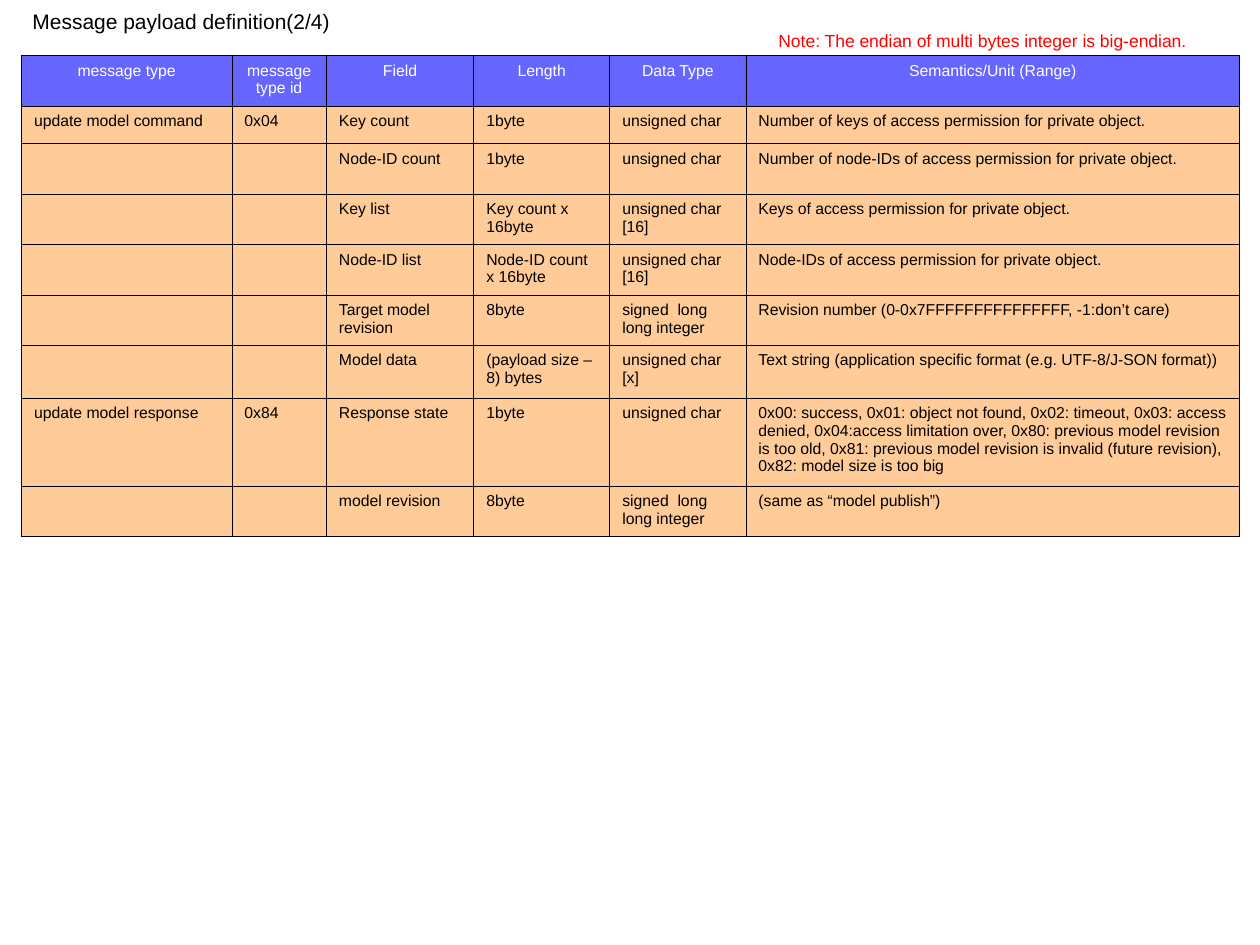
from lxml.etree import SubElement
from pptx import Presentation
from pptx.dml.color import RGBColor
from pptx.enum.text import MSO_AUTO_SIZE, PP_ALIGN
from pptx.oxml.ns import qn
from pptx.util import Inches, Pt

HEADER = ["message type", "message type id", "Field", "Length", "Data Type",
          "Semantics/Unit (Range)"]
FIELDS = [
    ["update model command", "0x04", "Key count", "1byte", "unsigned char",
     "Number of keys of access permission for private object."],
    ["", "", "Node-ID count", "1byte", "unsigned char",
     "Number of node-IDs of access permission for private object."],
    ["", "", "Key list", "Key count x 16byte", "unsigned char [16]",
     "Keys of access permission for private object."],
    ["", "", "Node-ID list", "Node-ID count x 16byte", "unsigned char [16]",
     "Node-IDs of access permission for private object."],
    ["", "", "Target model revision", "8byte", "signed  long long integer",
     "Revision number (0-0x7FFFFFFFFFFFFFFF, -1:don’t care)"],
    ["", "", "Model data", "(payload size – 8) bytes", "unsigned char [x]",
     "Text string (application specific format (e.g. UTF-8/J-SON format))"],
    ["update model response", "0x84", "Response state", "1byte", "unsigned char",
     "0x00: success, 0x01: object not found, 0x02: timeout, 0x03: access denied, "
     "0x04:access limitation over, 0x80: previous model revision is too old, "
     "0x81: previous model revision is invalid (future revision), "
     "0x82: model size is too big"],
    ["", "", "model revision", "8byte", "signed  long long integer",
     "(same as “model publish”)"],
]
COL_WIDTHS = [1.67, 0.75, 1.17, 1.08, 1.08, 3.92]
ROW_HEIGHTS = [0.4, 0.3, 0.4, 0.4, 0.4, 0.4, 0.42, 0.7, 0.4]


def rgb(color):
    return RGBColor.from_string(color)


def set_font(p, size, color):
    p.font.name = "Arial"
    p.font.size = Pt(size)
    p.font.color.rgb = rgb(color)


prs = Presentation()
prs.slide_width, prs.slide_height = Inches(10), Inches(7.5)
s = prs.slides.add_slide(prs.slide_layouts[6])

# Message field table
rows = [HEADER] + FIELDS
table = s.shapes.add_table(len(rows), len(HEADER), Inches(0.17), Inches(0.44),
                           Inches(sum(COL_WIDTHS)), Inches(sum(ROW_HEIGHTS))).table
table.first_row = table.horz_banding = False
for column, width in zip(table.columns, COL_WIDTHS):
    column.width = Inches(width)
for row, height in zip(table.rows, ROW_HEIGHTS):
    row.height = Inches(height)

for i, texts in enumerate(rows):
    for j, text in enumerate(texts):
        cell = table.cell(i, j)
        tcPr = cell._tc.get_or_add_tcPr()
        for side in ("lnL", "lnR", "lnT", "lnB"):
            ln = SubElement(tcPr, qn(f"a:{side}"), w=str(int(Pt(0.34))))
            SubElement(SubElement(ln, qn("a:solidFill")), qn("a:srgbClr"), val="000000")
        cell.fill.solid()
        cell.fill.fore_color.rgb = rgb("6666FF" if i == 0 else "FFCC99")
        cell.text = text
        p = cell.text_frame.paragraphs[0]
        p.space_before = Pt(2.2)
        p.alignment = PP_ALIGN.CENTER if i == 0 else PP_ALIGN.LEFT
        set_font(p, 9, "FFFFFF" if i == 0 else "000000")

# Title and note
for text, left, top, width, height, size, color in [
    ("Message payload definition(2/4)", 0.16, 0.02, 2.56, 0.3, 12, "000000"),
    ("Note: The endian of multi bytes integer is big-endian.",
     6.08, 0.19, 3.44, 0.27, 10, "FF0000"),
]:
    tf = s.shapes.add_textbox(Inches(left), Inches(top),
                              Inches(width), Inches(height)).text_frame
    tf.word_wrap = False
    tf.auto_size = MSO_AUTO_SIZE.SHAPE_TO_FIT_TEXT
    tf.text = text
    set_font(tf.paragraphs[0], size, color)

prs.save("out.pptx")
